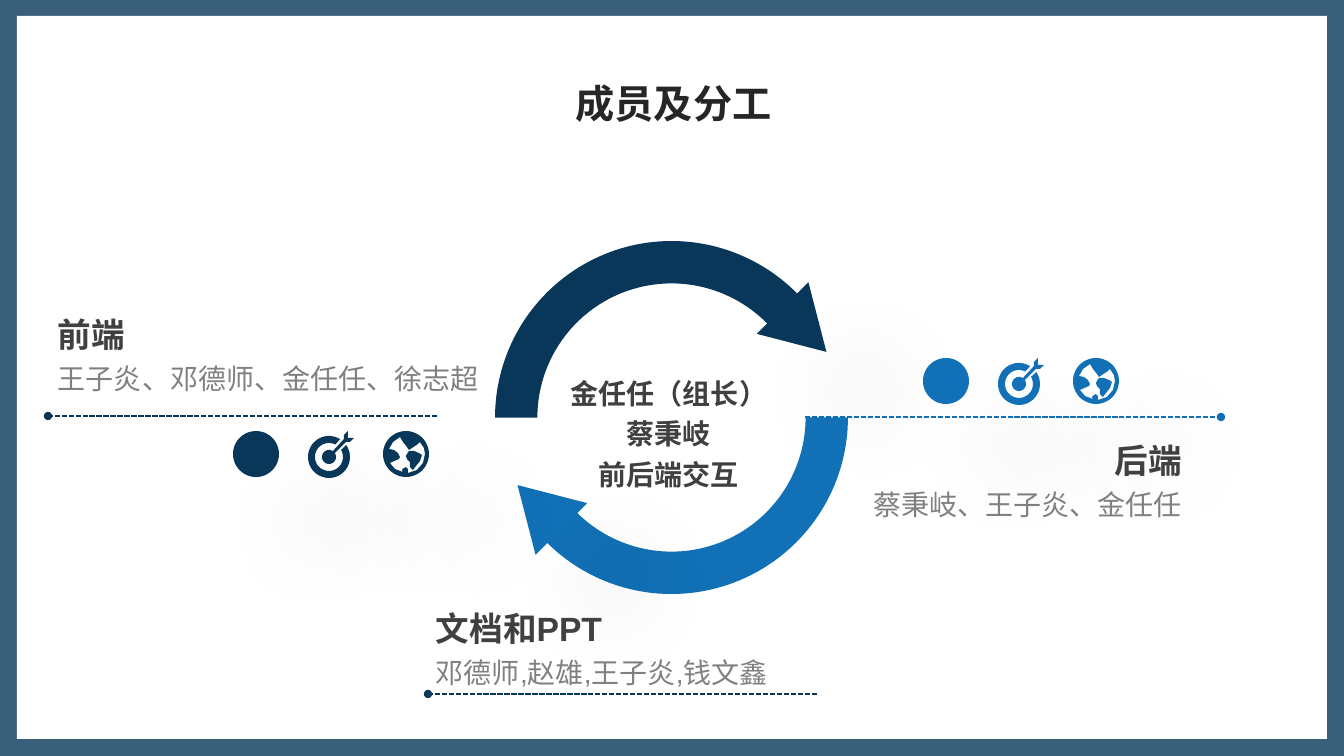
from math import cos, radians, sin

from lxml.etree import SubElement
from pptx import Presentation
from pptx.dml.color import RGBColor
from pptx.enum.dml import MSO_LINE
from pptx.enum.shapes import MSO_CONNECTOR, MSO_SHAPE
from pptx.enum.text import PP_ALIGN
from pptx.oxml.ns import qn
from pptx.util import Pt

EMU_PER_PX = 914400 / 100.8
FINE = 10  # freeform units per px
COLORS = {"navy": "093759", "blue": "1270B6", "white": "FFFFFF",
          "title": "262626", "heading": "404040", "names": "808080"}
FORMATS = {
    "title": {"size": Pt(28), "bold": True},
    "heading": {"size": Pt(24), "bold": True},
    "names": {"size": Pt(20), "bold": False},
    "center": {"size": Pt(20), "bold": True},
}


def px(n):
    return round(n * EMU_PER_PX)


def arc(cx, cy, radius, start, end):
    """Points along a circle, angles in degrees clockwise from the right."""
    return [(cx + radius * cos(radians(start + (end - start) * i / 48)),
             cy + radius * sin(radians(start + (end - start) * i / 48)))
            for i in range(49)]


DART = [(25, 20), (36, 8), (36, 4), (40, 0), (40, 7), (46, 7), (42, 11), (38, 11), (27, 22)]
TARGET = [
    arc(21, 26, 21, -35, 302) + arc(21, 26, 14, 297, -30),
    DART + arc(21, 26, 7, -34, 304),
]
OCEAN = [(25, 42), (25, 38), (23, 36), (21, 37), (19, 39), (20, 41), (12, 38), (7, 32),
         (9, 31), (16, 28), (17, 26), (15, 22), (11, 19), (6, 18), (10, 11), (17, 6),
         (20, 11), (24, 16), (26, 19), (29, 17), (35, 13), (37, 11), (41, 17), (42, 23),
         (40, 32), (34, 39)]
CONTINENT = [(36, 22), (31, 20), (26, 20), (24, 23), (23, 25), (24, 28), (27, 31),
             (27, 36), (30, 39), (33, 35), (37, 30), (39, 24)]
GLOBE = [arc(23, 23, 23, 0, 360), OCEAN, CONTINENT]


class Deck:
    def __init__(self, width, height, font):
        self.prs = Presentation()
        self.prs.slide_width, self.prs.slide_height = px(width), px(height)
        self.shapes = self.prs.slides.add_slide(self.prs.slide_layouts[6]).shapes
        self.font = font

    def paint(self, s, color, alpha=None, glow=False):
        """Fill without outline; glow adds the wide soft shadow."""
        s.shadow.inherit = False
        s.fill.solid()
        s.fill.fore_color.rgb = RGBColor.from_string(COLORS[color])
        s.line.fill.background()
        sp_pr = s._element.spPr
        if alpha:
            clr = sp_pr.find(qn("a:solidFill"))[0]
            SubElement(clr, qn("a:alpha"), val=str(alpha * 1000))
        if glow:
            shadow = SubElement(sp_pr.find(qn("a:effectLst")), qn("a:outerShdw"),
                                blurRad=str(Pt(61)), dist=str(Pt(67)),
                                dir=str(45 * 60000), algn="tl", rotWithShape="0")
            clr = SubElement(shadow, qn("a:srgbClr"), val="000000")
            SubElement(clr, qn("a:alpha"), val="11000")

    def shape(self, kind, x, y, w, h, color, rotation=0, adjustments=(), **look):
        s = self.shapes.add_shape(kind, px(x), px(y), px(w), px(h))
        s.rotation = rotation
        for i, value in enumerate(adjustments):
            s.adjustments[i] = value
        self.paint(s, color, **look)

    def outline(self, x, y, contours, color):
        """Closed contours in one freeform; inner ones cut holes."""
        contours = [[(round(a * FINE), round(b * FINE)) for a, b in c] for c in contours]
        builder = self.shapes.build_freeform(*contours[0][0], scale=EMU_PER_PX / FINE)
        for i, points in enumerate(contours):
            if i:
                builder.move_to(*points[0])
            builder.add_line_segments(points[1:], close=True)
        self.paint(builder.convert_to_shape(px(x), px(y)), color, glow=True)

    def icons(self, x, y, color):
        step = 75
        self.shape(MSO_SHAPE.OVAL, x, y, 46, 46, color, glow=True)
        for i, contours in enumerate((TARGET, GLOBE), 1):
            self.outline(x + i * step, y, contours, color)

    def dotted_line(self, x1, x2, y, color):
        c = self.shapes.add_connector(MSO_CONNECTOR.STRAIGHT, px(x1), px(y), px(x2), px(y))
        c.line.color.rgb = RGBColor.from_string(COLORS[color])
        c.line.width = Pt(1.25)
        c.line.dash_style = MSO_LINE.SQUARE_DOT
        SubElement(c.line._get_or_add_ln(), qn("a:tailEnd"), type="oval")
        SubElement(c._element.spPr, qn("a:effectLst"))

    def text(self, x, y, w, h, lines, align=PP_ALIGN.LEFT, spacing=1.2):
        """Lines are (text, format name, colour name)."""
        tf = self.shapes.add_textbox(px(x), px(y), px(w), px(h)).text_frame
        tf.word_wrap = True
        for i, (words, style, color) in enumerate(lines):
            p = tf.add_paragraph() if i else tf.paragraphs[0]
            p.alignment, p.line_spacing = align, spacing
            r = p.add_run()
            r.text = words
            r.font.name = self.font
            r.font.color.rgb = RGBColor.from_string(COLORS[color])
            for name, value in FORMATS[style].items():
                setattr(r.font, name, value)

    def team(self, x, y, w, role, members, align=PP_ALIGN.LEFT):
        self.text(x, y, w, 100, [(role, "heading", "heading"), (members, "names", "names")],
                  align)


def main():
    deck = Deck(1344, 756, "Arial")
    deck.shape(MSO_SHAPE.RECTANGLE, 0, 0, 1344, 756, "navy", alpha=80)
    deck.shape(MSO_SHAPE.RECTANGLE, 17, 16, 1310, 723, "white")
    deck.dotted_line(805, 1221, 417, "blue")
    for color, turn, x, y, heading in (("navy", 180, 768, 299, 135),
                                       ("blue", 0, 503, 476, 315)):
        deck.shape(MSO_SHAPE.BLOCK_ARC, 495, 241, 353, 353, color, turn, (216, 81.81, 0.12))
        deck.shape(MSO_SHAPE.ISOSCELES_TRIANGLE, x, y, 73, 62, color, heading, glow=True)
    deck.dotted_line(437, 48, 416, "navy")
    deck.icons(233, 431, "navy")
    deck.icons(923, 358, "blue")
    deck.team(48, 301, 447, "前端", "王子炎、邓德师、金任任、徐志超")
    deck.team(813, 427, 379, "后端", "蔡秉岐、王子炎、金任任", PP_ALIGN.RIGHT)
    deck.text(564, 74, 219, 57, [("成员及分工", "title", "title")], PP_ALIGN.CENTER, 1.0)
    deck.text(514, 365, 310, 132,
              [(words, "center", "heading") for words in ("金任任（组长）", "蔡秉岐", "前后端交互")],
              PP_ALIGN.CENTER)
    deck.team(426, 595, 447, "文档和PPT", "邓德师,赵雄,王子炎,钱文鑫")
    deck.dotted_line(817, 428, 694, "navy")
    deck.prs.save("out.pptx")


if __name__ == "__main__":
    main()
